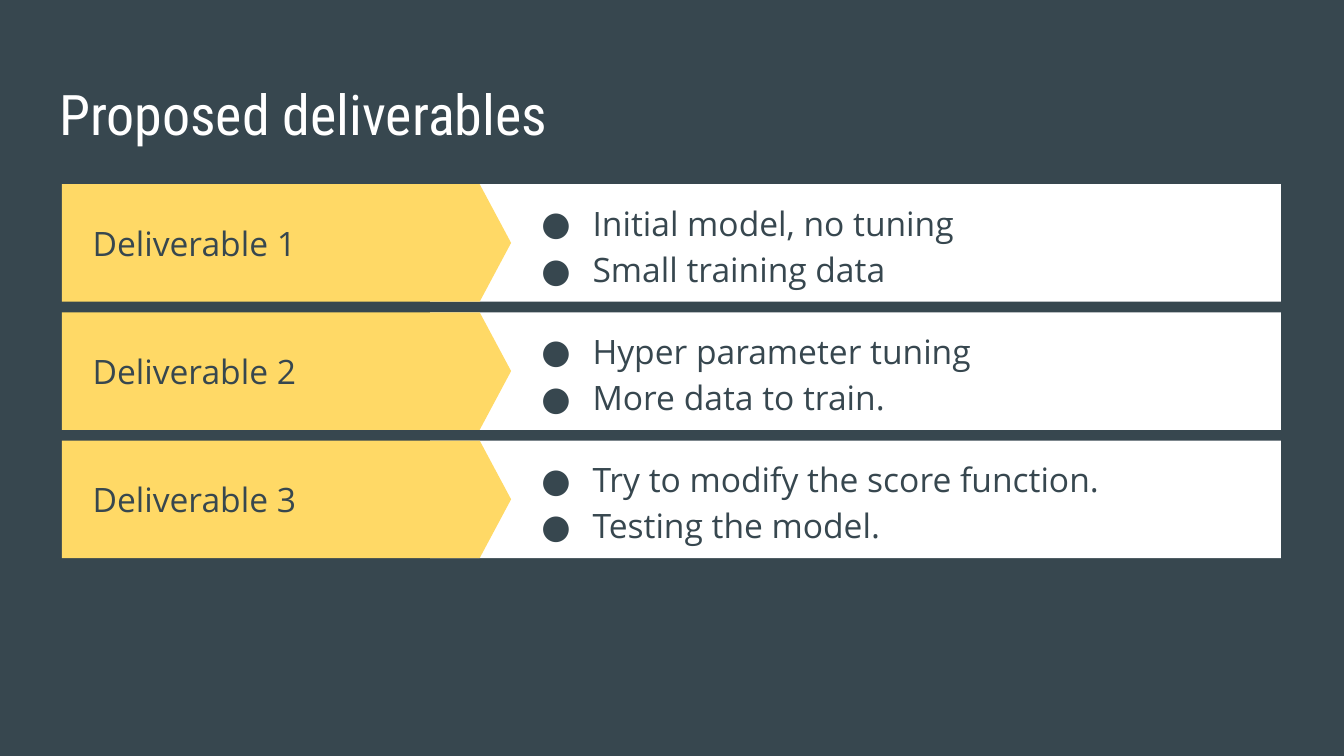
from dataclasses import dataclass

from lxml import etree
from pptx import Presentation
from pptx.dml.color import RGBColor
from pptx.enum.shapes import MSO_SHAPE
from pptx.enum.text import MSO_ANCHOR
from pptx.oxml.ns import qn
from pptx.util import Cm, Pt

RECTANGLE = MSO_SHAPE.RECTANGLE
PENTAGON = MSO_SHAPE.PENTAGON
TOP = MSO_ANCHOR.TOP
MIDDLE = MSO_ANCHOR.MIDDLE
BLANK_LAYOUT = 6


@dataclass(frozen=True)
class Theme:
    slate: str = "37474F"
    yellow: str = "FFD966"
    white: str = "FFFFFF"
    heading_font: str = "Roboto Condensed"
    body_font: str = "Open Sans"
    heading_size: int = 30
    body_size: int = 18


THEME = Theme()

DELIVERABLES = [
    ("Deliverable 1", ["Initial model, no tuning", "Small training data"]),
    ("Deliverable 2", ["Hyper parameter tuning", "More data to train."]),
    ("Deliverable 3", ["Try to modify the score function.", "Testing the model."]),
]


def cm_box(*lengths):
    return [Cm(length) for length in lengths]


def apply_format(target, values):
    for attribute, value in values.items():
        setattr(target, attribute, value)


def add_bullet(paragraph):
    paragraph.line_spacing = 1.15
    properties = paragraph._p.get_or_add_pPr()
    properties.set("marL", str(Cm(1.27)))
    properties.set("indent", str(Cm(-0.97)))
    bullet_color = etree.SubElement(properties, qn("a:buClr"))
    etree.SubElement(bullet_color, qn("a:srgbClr"), val=THEME.slate)
    etree.SubElement(properties, qn("a:buFont"), typeface=THEME.body_font)
    etree.SubElement(properties, qn("a:buChar"), char="●")


def add_text(slide, box, lines, font, size, color, anchor, bulleted=False):
    frame = slide.shapes.add_textbox(*cm_box(*box)).text_frame
    margins = ("margin_left", "margin_top", "margin_right", "margin_bottom")
    apply_format(frame, {
        "word_wrap": True,
        "vertical_anchor": anchor,
        **dict.fromkeys(margins, Cm(0.25)),
    })
    frame.text = "\n".join(lines)
    for paragraph in frame.paragraphs:
        if bulleted:
            add_bullet(paragraph)
        for run in paragraph.runs:
            apply_format(run.font, {"name": font, "size": Pt(size)})
            run.font.color.rgb = RGBColor.from_string(color)


def add_panel(group, preset, box, color):
    panel = group.shapes.add_shape(preset, *cm_box(*box))
    panel.shadow.inherit = False
    panel.fill.solid()
    panel.fill.fore_color.rgb = RGBColor.from_string(color)
    panel.line.fill.background()
    return panel


def add_title(slide, box, title):
    add_text(slide, box, [title], THEME.heading_font, THEME.heading_size,
             THEME.white, TOP)


def add_deliverable(slide, box, label, details):
    left, top, width, height = box
    details_left = left + 6.96
    banner = slide.shapes.add_group_shape()
    add_panel(banner, RECTANGLE,
              (details_left, top, width - 6.96, height), THEME.white)
    arrow = add_panel(banner, PENTAGON, (left, top, 8.49, height), THEME.yellow)
    arrow.adjustments[0] = 0.267

    body_style = (THEME.body_font, THEME.body_size, THEME.slate, MIDDLE)
    add_text(slide, (left + 0.33, top, 6.73, height), [label], *body_style)
    add_text(slide, (left + 8.51, top, 14.2, height), details, *body_style,
             bulleted=True)


def add_deliverables(slide, box, deliverables):
    left, top, width, height = box
    gap = 0.2
    row_height = (height - gap * (len(deliverables) - 1)) / len(deliverables)
    for index, (label, details) in enumerate(deliverables):
        row_top = top + index * (row_height + gap)
        add_deliverable(slide, (left, row_top, width, row_height), label, details)


def build():
    deck = Presentation()
    apply_format(deck, {"slide_width": Cm(25.4), "slide_height": Cm(14.29)})
    slide = deck.slides.add_slide(deck.slide_layouts[BLANK_LAYOUT])
    slide.background.fill.solid()
    slide.background.fill.fore_color.rgb = RGBColor.from_string(THEME.slate)
    add_title(slide, (0.87, 1.25, 23.67, 1.6), "Proposed deliverables")
    add_deliverables(slide, (1.17, 3.48, 23.04, 7.07), DELIVERABLES)
    deck.save("out.pptx")


build()
